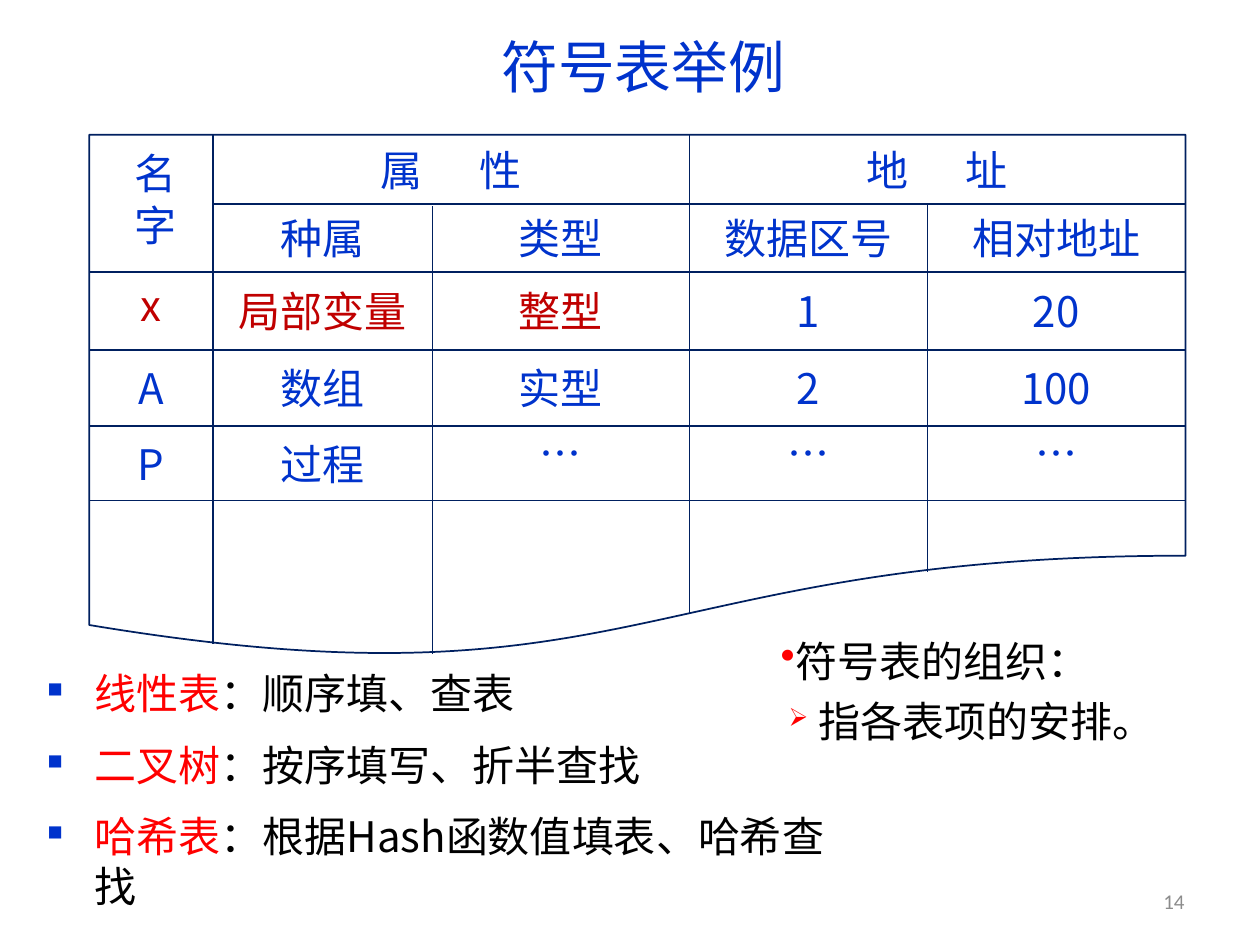
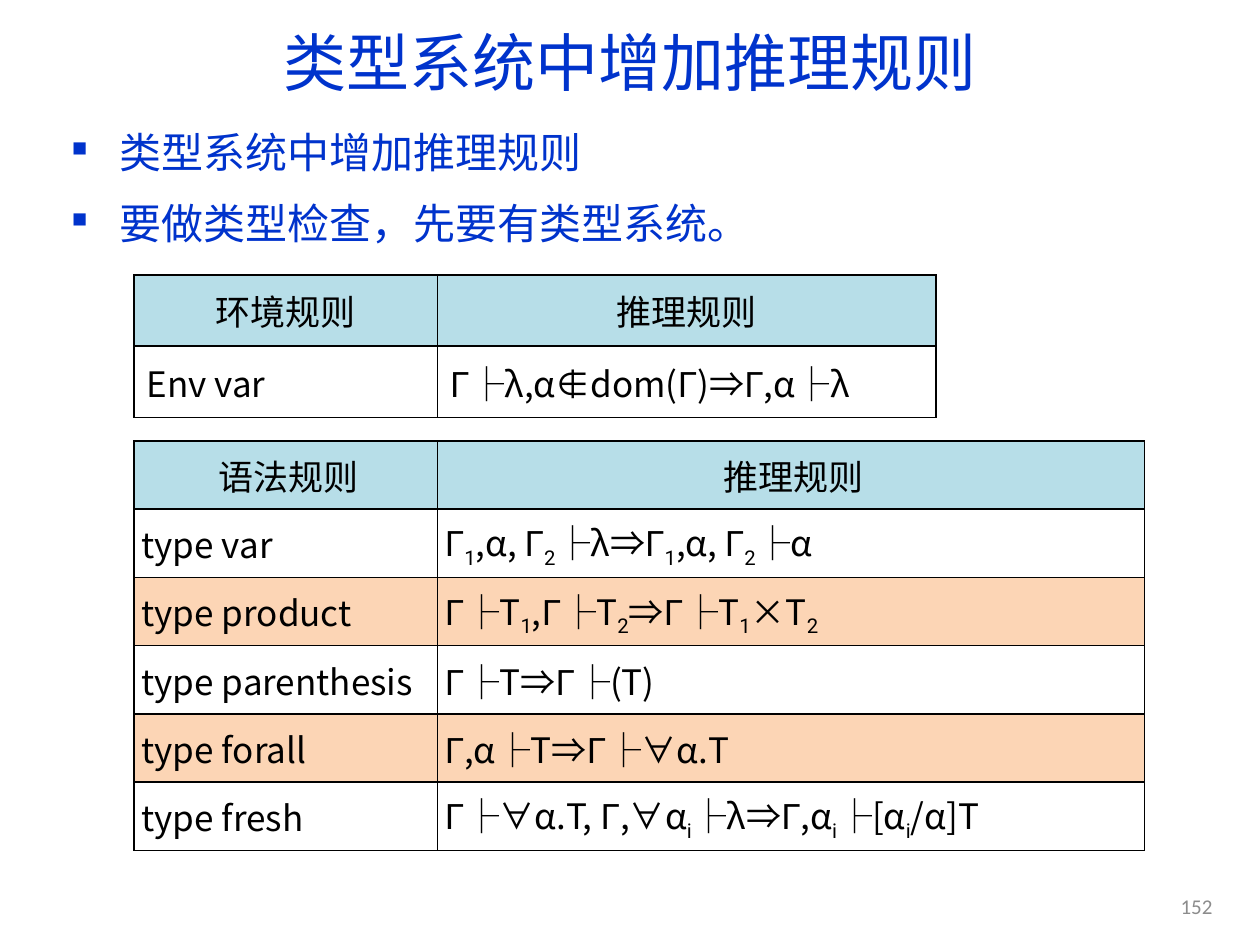
from dataclasses import dataclass

from lxml.etree import SubElement
from pptx import Presentation
from pptx.dml.color import RGBColor
from pptx.enum.shapes import MSO_CONNECTOR, MSO_SHAPE
from pptx.enum.text import MSO_ANCHOR, PP_ALIGN
from pptx.oxml.ns import qn
from pptx.util import Pt


@dataclass(frozen=True)
class Theme:
    blue: str = "0033CC"
    navy: str = "002060"
    black: str = "000000"
    red: str = "FF0000"
    crimson: str = "C00000"
    gray: str = "8C8C8C"
    header: str = "B7DEE8"
    stripe: str = "FCD5B5"
    title_font: str = "Noto Sans CJK JP"
    body_font: str = "Noto Sans CJK SC"
    greek_font: str = "Roboto"
    number_font: str = "Calibri"
    body_size: float = 24
    table_size: float = 20
    number_size: float = 12


THEME = Theme()


def add_text(paragraph, text, size=THEME.body_size, color=THEME.black,
             font=THEME.body_font, align=None, baseline=0, spacing=0):
    if align is not None:
        paragraph.alignment = align
    run = paragraph.add_run()
    run.text = text
    run.font.size = Pt(size)
    run.font.name = font
    run.font.color.rgb = RGBColor.from_string(color)
    properties = run._r.get_or_add_rPr()
    SubElement(properties, qn("a:ea"), typeface=font)
    if baseline:
        properties.set("baseline", str(baseline * 1000))
    if spacing:
        properties.set("spc", str(int(spacing * 100)))


def add_formula(paragraph, formula):
    subscript = False
    for symbol in formula:
        if symbol == "_":
            subscript = True
            continue
        greek = symbol == "Γ" or subscript
        add_text(paragraph, symbol, size=THEME.table_size,
                 font=THEME.greek_font if greek else THEME.body_font,
                 baseline=-25 if subscript else 0)
        subscript = False


def set_bullet(paragraph, mark, color, percent=100, margin=0, indent=0):
    properties = paragraph._p.get_or_add_pPr()
    properties.set("marL", str(Pt(margin)))
    properties.set("indent", str(Pt(indent)))
    tint = SubElement(properties, qn("a:buClr"))
    SubElement(tint, qn("a:srgbClr"), val=color)
    SubElement(properties, qn("a:buSzPct"), val=str(percent * 1000))
    SubElement(properties, qn("a:buChar"), char=mark)


def paragraphs(frame, count):
    return [frame.paragraphs[0]] + [frame.add_paragraph() for _ in range(count - 1)]


class Deck:
    def __init__(self, theme):
        self.theme = theme
        self.presentation = Presentation()
        self.presentation.slide_width = Pt(720)
        self.presentation.slide_height = Pt(540)
        self.slide = None

    def new_slide(self, title, number, title_box, number_box, title_size):
        self.slide = self.presentation.slides.add_slide(self.presentation.slide_layouts[6])
        add_text(self.frame(*title_box, anchor=MSO_ANCHOR.MIDDLE).paragraphs[0], title,
                 size=title_size, color=self.theme.blue, font=self.theme.title_font,
                 align=PP_ALIGN.CENTER)
        add_text(self.frame(*number_box, anchor=MSO_ANCHOR.MIDDLE).paragraphs[0], number,
                 size=self.theme.number_size, color=self.theme.gray,
                 font=self.theme.number_font, align=PP_ALIGN.RIGHT)

    def frame(self, left, top, width, height, anchor=MSO_ANCHOR.TOP):
        box = self.slide.shapes.add_textbox(Pt(left), Pt(top), Pt(width), Pt(height))
        box.text_frame.word_wrap = True
        box.text_frame.vertical_anchor = anchor
        return box.text_frame

    def shape(self, preset, left, top, width, height, outline=None):
        shape = self.slide.shapes.add_shape(preset, Pt(left), Pt(top), Pt(width), Pt(height))
        shape.shadow.inherit = False
        shape.fill.background()
        if outline:
            shape.line.color.rgb = RGBColor.from_string(outline)
            shape.line.width = Pt(1)
        else:
            shape.line.fill.background()
        shape.text_frame.word_wrap = True
        shape.text_frame.vertical_anchor = MSO_ANCHOR.MIDDLE
        return shape.text_frame

    def label(self, text, left, top, width, height, color, vertical=False):
        frame = self.shape(MSO_SHAPE.FLOWCHART_PROCESS, left, top, width, height)
        paragraph = frame.paragraphs[0]
        if vertical:
            frame._txBody.bodyPr.set("vert", "eaVert")
            paragraph.space_after = Pt(6)
        lead, gap, tail = text.partition("\t")
        if gap:
            add_text(paragraph, lead + " ", color=color, spacing=13.5)
        add_text(paragraph, tail or lead, color=color, align=PP_ALIGN.CENTER)

    def line(self, x1, y1, x2, y2):
        rule = self.slide.shapes.add_connector(
            MSO_CONNECTOR.STRAIGHT, Pt(x1), Pt(y1), Pt(x2), Pt(y2))
        rule.line.color.rgb = RGBColor.from_string(self.theme.navy)
        rule.line.width = Pt(0.75)
        SubElement(rule._element.spPr, qn("a:effectLst"))

    def bullets(self, left, top, width, height, items):
        frame = self.frame(left, top, width, height)
        for paragraph, runs in zip(paragraphs(frame, len(items)), items):
            paragraph.space_before = paragraph.space_after = Pt(6)
            set_bullet(paragraph, "■", self.theme.blue, 50, 27, -27)
            for text, color in runs:
                add_text(paragraph, text, color=color)

    def rules(self, left, top, widths, row_height, rows, margins, striped=()):
        grid = self.slide.shapes.add_table(
            len(rows), len(widths), Pt(left), Pt(top),
            Pt(sum(widths)), Pt(row_height * len(rows))).table
        grid.horz_banding = False
        for column, width in zip(grid.columns, widths):
            column.width = Pt(width)
        for r, row in enumerate(rows):
            grid.rows[r].height = Pt(row_height)
            fill = self.theme.header if r == 0 else self.theme.stripe if r in striped else None
            for c, text in enumerate(row):
                cell = grid.cell(r, c)
                cell.vertical_anchor = MSO_ANCHOR.MIDDLE
                cell.margin_left, cell.margin_right = map(Pt, margins)
                paragraph = cell.text_frame.paragraphs[0]
                if r and c:
                    add_formula(paragraph, text)
                else:
                    add_text(paragraph, text, size=self.theme.table_size,
                             align=PP_ALIGN.LEFT if r else PP_ALIGN.CENTER)
                self.border(cell)
                if fill:
                    cell.fill.solid()
                    cell.fill.fore_color.rgb = RGBColor.from_string(fill)
                else:
                    cell.fill.background()

    def border(self, cell):
        properties = cell._tc.get_or_add_tcPr()
        for side in ("lnL", "lnR", "lnT", "lnB"):
            edge = SubElement(properties, qn(f"a:{side}"), w=str(Pt(1)))
            SubElement(SubElement(edge, qn("a:solidFill")), qn("a:srgbClr"),
                       val=self.theme.black)


def symbol_table(deck):
    theme = deck.theme
    columns = [51, 121.7, 247, 394, 530, 677]
    rows = [77, 116.6, 155.5, 200, 243.4, 286]
    left, name_end, kind_end, type_end, area_end, right = columns
    top, split, header_end = rows[:3]

    deck.shape(MSO_SHAPE.FLOWCHART_DOCUMENT, left, top, right - left + 0.5, 300, theme.navy)
    for y in rows[2:]:
        deck.line(left, y, right, y)
    deck.line(name_end, split, right, split)
    for x, start, end in [(name_end, top, 368), (kind_end, 118, 373.5),
                          (type_end, top, 350.5), (area_end, split, 327)]:
        deck.line(x, start, x, end)

    deck.label("名 字", 54, 80, 67.7, 73.4, theme.blue, vertical=True)
    for text, start, end in [("属\t性", name_end, type_end), ("地\t址", type_end, right)]:
        deck.label(text, start, top, end - start, split - top, theme.blue)

    entries = [
        ["", "种属", "类型", "数据区号", "相对地址"],
        ["x", "局部变量", "整型", "1", "20"],
        ["A", "数组", "实型", "2", "100"],
        ["P", "过程", "…", "…", "…"],
    ]
    lifts = {"x": 3.5, "…": 6}
    for y, bottom, entry in zip(rows[1:], rows[2:], entries):
        for x, end, text in zip(columns, columns[1:], entry):
            if text:
                color = theme.crimson if text in ("x", "局部变量", "整型") else theme.blue
                deck.label(text, x, y - lifts.get(text, 0), end - x, bottom - y, color)


def organization(deck):
    theme = deck.theme
    frame = deck.shape(MSO_SHAPE.FLOWCHART_PROCESS, 439, 355, 249, 73.5)
    heading, detail = paragraphs(frame, 2)
    detail.level = 1
    for paragraph, text in [(heading, "符号表的组织："), (detail, "指各表项的安排。")]:
        paragraph.line_spacing = 1.2
        add_text(paragraph, text, align=PP_ALIGN.LEFT)
    set_bullet(heading, "•", theme.red)
    set_bullet(detail, "➢", theme.red, 60, 21.6, -17)


def main():
    deck = Deck(THEME)
    deck.new_slide("符号表举例", "14", (139, 15, 457, 45.5), (516, 500.5, 168, 28.75), 32.4)
    deck.bullets(20, 378, 476, 130, [
        [("线性表", THEME.red), ("：顺序填、查表", THEME.black)],
        [("二叉树", THEME.red), ("：按序填写、折半查找", THEME.black)],
        [("哈希表", THEME.red), ("：根据Hash函数值填表、哈希查找", THEME.black)],
    ])
    organization(deck)
    symbol_table(deck)

    title = "类型系统中增加推理规则"
    deck.new_slide(title, "152", (36, 1, 648, 67.5), (656, 503.5, 44, 28.75), 36)
    deck.bullets(34, 68.5, 648, 78, [
        [(title, THEME.blue)],
        [("要做类型检查，先要有类型系统。", THEME.blue)],
    ])
    deck.rules(76.5, 252, (173.5, 404), 39, [
        ("语法规则", "推理规则"),
        ("type var", "Γ_1,α, Γ_2├λ⇒Γ_1,α, Γ_2├α"),
        ("type product", "Γ├T_1,Γ├T_2⇒Γ├T_1×T_2"),
        ("type parenthesis", "Γ├T⇒Γ├(T)"),
        ("type forall", "Γ,α├T⇒Γ├∀α.T"),
        ("type fresh", "Γ├∀α.T, Γ,∀α_i├λ⇒Γ,α_i├[α_i/α]T"),
    ], margins=(4.3, 1.4), striped=(2, 4))
    deck.rules(76.5, 157, (173.5, 285), 40.75, [
        ("环境规则", "推理规则"),
        ("Env var", "Γ├λ,α∉dom(Γ)⇒Γ,α├λ"),
    ], margins=(7.2, 7.2))
    deck.presentation.save("out.pptx")


if __name__ == "__main__":
    main()
